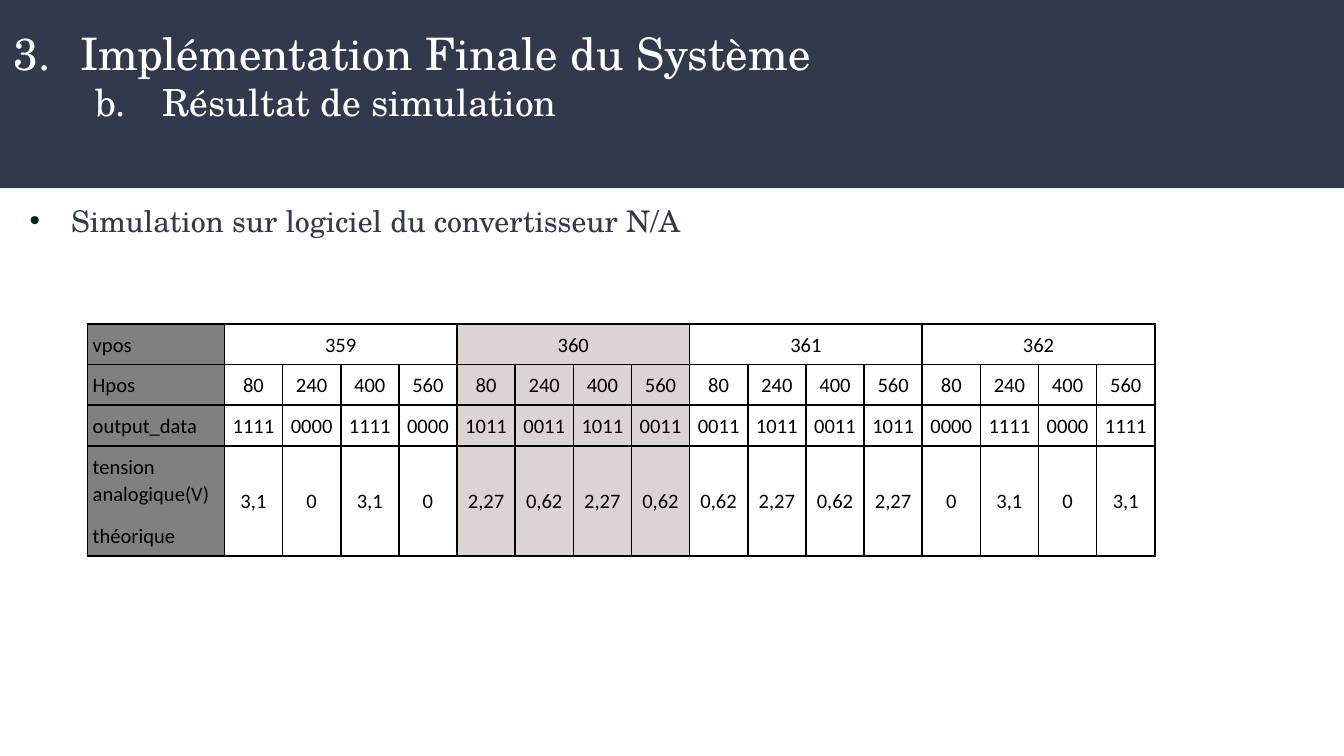
from lxml import etree
from pptx import Presentation
from pptx import util as u
from pptx.dml.color import RGBColor
from pptx.enum import shapes, text
from pptx.oxml import ns

NAVY = RGBColor(0x31, 0x39, 0x4D)
TEAL = RGBColor(0x00, 0x25, 0x2E)
WHITE = RGBColor(0xFF, 0xFF, 0xFF)
BLACK = RGBColor(0x00, 0x00, 0x00)
GREY = RGBColor(0x80, 0x80, 0x80)
ROSE = RGBColor(0xDC, 0xD3, 0xD3)

COLUMNS, ROWS = 100, 56.25
GROUP = 4
LABEL_WIDTH, VALUE_WIDTH = 10.2, 4.33
ROW_HEIGHTS = [3.03, 3.03, 3.03, 8.2]
HIGHLIGHTED = range(5, 9)

LINES = ["359", "360", "361", "362"]
POSITIONS = ["80", "240", "400", "560"] * GROUP
CODES = (["1111", "0000"] * 2 + ["1011", "0011"] * 2
         + ["0011", "1011"] * 2 + ["0000", "1111"] * 2)
VOLTAGES = {"1111": "3,1", "0000": "0", "1011": "2,27", "0011": "0,62"}
TABLE = [
    ["vpos"] + [line for name in LINES for line in [name, "", "", ""]],
    ["Hpos"] + POSITIONS,
    ["output_data"] + CODES,
    ["tension analogique(V)\nthéorique"] + [VOLTAGES[code] for code in CODES],
]


class Deck:
    """Holds the style and the current slide, measured on a 100-column grid."""

    heading_font = "TeX Gyre Schola"
    table_font = "Calibri"
    bullet_font = "Arial"

    def __init__(self):
        self.presentation = Presentation()
        self.presentation.slide_width = u.Inches(10)
        self.presentation.slide_height = u.Inches(10 * 9 / 16)
        self.slide = self.presentation.slides.add_slide(self.presentation.slide_layouts[6])

    def across(self, columns):
        return round(self.presentation.slide_width * columns / COLUMNS)

    def down(self, rows):
        return round(self.presentation.slide_height * rows / ROWS)

    def box(self, left, top, width, height):
        return self.across(left), self.down(top), self.across(width), self.down(height)

    def band(self, *place, color):
        shape = self.slide.shapes.add_shape(shapes.MSO_SHAPE.RECTANGLE, *self.box(*place))
        shape.shadow.inherit = False
        shape.fill.solid()
        shape.fill.fore_color.rgb = color
        shape.line.fill.background()

    def text_box(self, *place, side):
        frame = self.slide.shapes.add_textbox(*self.box(*place)).text_frame
        frame.word_wrap = True
        frame.margin_left = frame.margin_right = self.across(side)
        frame.margin_top = frame.margin_bottom = self.down(1)
        return frame

    def list_item(self, paragraph, words, size, color, margin, hanging,
                  marker, marker_color, **bullet):
        paragraph.text = words
        properties = paragraph._p.get_or_add_pPr()
        properties.set("marL", str(self.across(margin)))
        properties.set("indent", str(-self.across(hanging)))
        tint = etree.SubElement(properties, ns.qn("a:buClr"))
        etree.SubElement(tint, ns.qn("a:srgbClr"), val=str(marker_color))
        if marker == "a:buChar":
            etree.SubElement(properties, ns.qn("a:buFont"), typeface=self.bullet_font)
        etree.SubElement(properties, ns.qn(marker), **bullet)
        self.style(paragraph, self.heading_font, size, color)

    def style(self, paragraph, name, size, color):
        paragraph.font.name = name
        paragraph.font.size = u.Pt(size)
        paragraph.font.color.rgb = color

    def table(self, left, top, rows):
        count = len(rows[0])
        widths = [LABEL_WIDTH] + [VALUE_WIDTH] * (count - 1)
        place = self.box(left, top, sum(widths), sum(ROW_HEIGHTS))
        table = self.slide.shapes.add_table(len(rows), count, *place).table
        for column, width in zip(table.columns, widths):
            column.width = self.across(width)
        for row, height in zip(table.rows, ROW_HEIGHTS):
            row.height = self.down(height)
        for start in range(1, count, GROUP):
            table.cell(0, start).merge(table.cell(0, start + GROUP - 1))
        for i, row in enumerate(rows):
            for j, words in enumerate(row):
                self.cell(table.cell(i, j), words, j, i == len(rows) - 1)

    def cell(self, cell, words, column, last_row):
        label = column == 0
        highlighted = column in HIGHLIGHTED
        cell.margin_left = cell.margin_right = self.across(0.2 if highlighted else 0.4)
        cell.margin_top = cell.margin_bottom = self.down(0.5)
        middle = last_row and not label
        cell.vertical_anchor = text.MSO_ANCHOR.MIDDLE if middle else text.MSO_ANCHOR.BOTTOM
        if label or highlighted:
            cell.fill.solid()
            cell.fill.fore_color.rgb = GREY if label else ROSE
        else:
            cell.fill.background()
        self.borders(cell)
        cell.text_frame.text = words
        for paragraph in cell.text_frame.paragraphs:
            paragraph.alignment = text.PP_ALIGN.LEFT if label else text.PP_ALIGN.CENTER
            paragraph.line_spacing = 1.07
            paragraph.space_after = u.Pt(8)
            self.style(paragraph, self.table_font, 11, BLACK)

    def borders(self, cell):
        properties = cell._tc.get_or_add_tcPr()
        for index, side in enumerate(["a:lnL", "a:lnR", "a:lnT", "a:lnB"]):
            line = etree.Element(ns.qn(side), w=str(u.Pt(0.96)))
            fill = etree.SubElement(line, ns.qn("a:solidFill"))
            etree.SubElement(fill, ns.qn("a:srgbClr"), val=str(BLACK))
            properties.insert(index, line)


def main():
    deck = Deck()
    deck.band(0, 0, COLUMNS, 14, color=NAVY)
    heading = deck.text_box(0, 0.9, COLUMNS, 12.2, side=1)
    deck.list_item(heading.paragraphs[0], "Implémentation Finale du Système", 24, WHITE,
                   5, 5, "a:buAutoNum", WHITE, type="arabicPeriod", startAt="3")
    deck.list_item(heading.add_paragraph(), "Résultat de simulation", 20, WHITE,
                   11.1, 5, "a:buAutoNum", WHITE, type="alphaLcPeriod", startAt="2")
    deck.table(6.5, 24.1, TABLE)
    topic = deck.text_box(2.2, 14.1, 87.4, 4.3, side=0)
    deck.list_item(topic.paragraphs[0], "Simulation sur logiciel du convertisseur N/A", 16, NAVY,
                   3.1, 3.1, "a:buChar", TEAL, char="•")
    deck.presentation.save("out.pptx")


if __name__ == "__main__":
    main()
